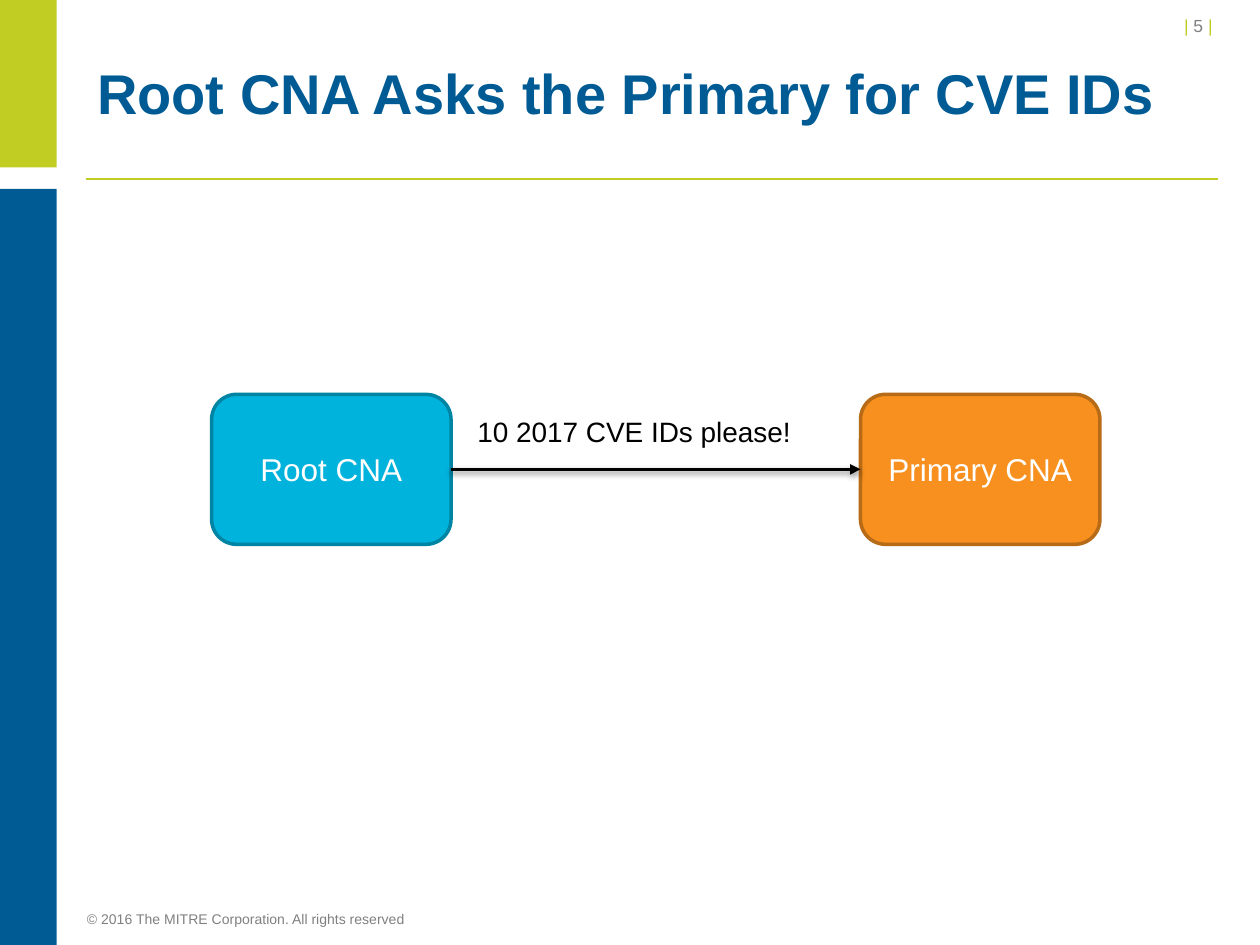
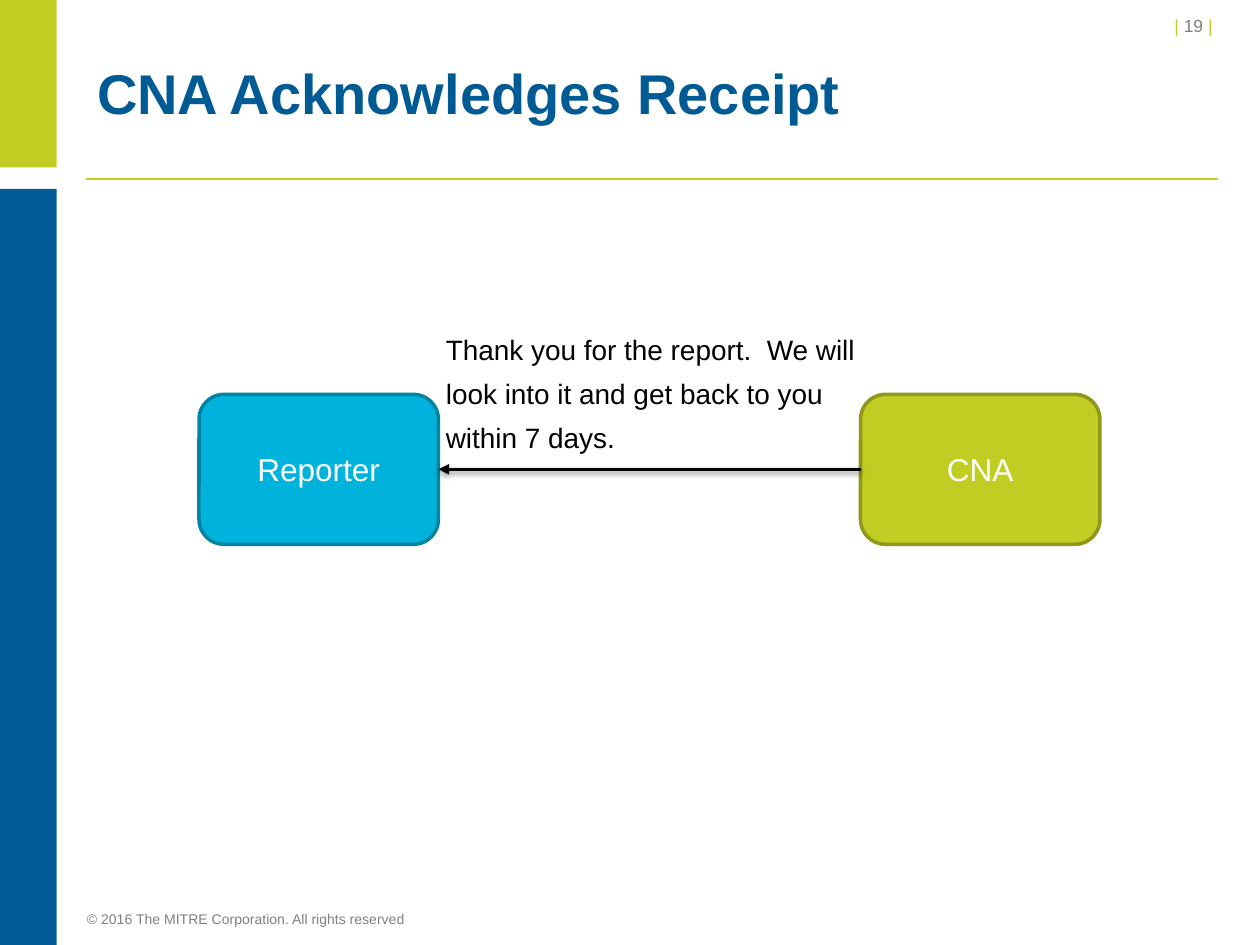
from pptx import Presentation
from pptx.dml.color import RGBColor
from pptx.enum.shapes import MSO_CONNECTOR as Connector, MSO_SHAPE as Shape
from pptx.enum.text import MSO_ANCHOR as Anchor, MSO_AUTO_SIZE as AutoSize, PP_ALIGN as Align
from pptx.oxml import parse_xml
from pptx.oxml.ns import nsdecls
from pptx.util import Inches, Pt

LIME = RGBColor(0xC1, 0xCD, 0x23)
DARK_LIME = RGBColor(0x8F, 0x98, 0x1A)
NAVY = RGBColor(0x00, 0x5B, 0x94)
CYAN = RGBColor(0x00, 0xB3, 0xDC)
DARK_CYAN = RGBColor(0x00, 0x84, 0xA3)
ORANGE = RGBColor(0xF7, 0x90, 0x1E)
DARK_ORANGE = RGBColor(0xB7, 0x6B, 0x16)
GRAY = RGBColor(0x80, 0x80, 0x80)
BLACK = RGBColor(0x00, 0x00, 0x00)
WHITE = RGBColor(0xFF, 0xFF, 0xFF)

TITLE_ONLY = 5
LEFT_SITE, RIGHT_SITE = 1, 3
BOX_TOP, BOX_WIDTH, BOX_HEIGHT = 3.13, 1.9, 1.19
RIGHT_BOX_LEFT = 6.83
COPYRIGHT = "© 2016 The MITRE Corporation. All rights reserved"

FONTS = {
    "title": {"name": "Arial", "size": Pt(32), "bold": True},
    "box": {"name": "Arial", "size": Pt(18)},
    "label": {"name": "Arial", "size": Pt(16)},
    "number": {"name": "Arial", "size": Pt(10)},
    "footer": {"name": "Arial", "size": Pt(8)},
}
PARAGRAPHS = {
    "title": {"alignment": Align.LEFT, "line_spacing": Pt(32)},
    "box": {"alignment": Align.CENTER},
    "label": {"space_after": Pt(6)},
    "number": {"alignment": Align.RIGHT, "space_after": Pt(6)},
    "footer": {},
}
NO_MARGINS = dict.fromkeys(
    ("margin_left", "margin_top", "margin_right", "margin_bottom"), 0)
ARROWHEAD = f'<a:tailEnd {nsdecls("a")} type="triangle"/>'
NO_EFFECTS = f'<a:effectLst {nsdecls("a")}/>'
SOFT_SHADOW = f"""<a:effectLst {nsdecls("a")}>
  <a:outerShdw blurRad="40000" dist="20000" dir="5400000" rotWithShape="0">
    <a:srgbClr val="000000"><a:alpha val="38000"/></a:srgbClr>
  </a:outerShdw>
</a:effectLst>"""


def apply_format(target, values):
    for name, value in values.items():
        setattr(target, name, value)


class Deck:
    def __init__(self):
        self.presentation = Presentation()
        self.presentation.slide_width = Inches(10)
        self.presentation.slide_height = Inches(7.5)
        self.slide = None

    def start_slide(self, title, number):
        layout = self.presentation.slide_layouts[TITLE_ONLY]
        self.slide = self.presentation.slides.add_slide(layout)
        self.rule(0.68, 9.67, 1.42)
        self.band(0, 1.33, LIME)
        self.band(1.5, 6, NAVY)
        self.text((8.01, 0.07, 1.75, 0.27), "number",
                  [[("| ", LIME), (f"{number} ", GRAY), ("| ", LIME)]])
        self.text((0.69, 7.23, 5, 0.13), "footer", [[(COPYRIGHT, GRAY)]], NO_MARGINS)
        self.title(title)

    def fill_text(self, frame, style, lines):
        for index, runs in enumerate(lines):
            paragraph = frame.add_paragraph() if index else frame.paragraphs[0]
            apply_format(paragraph, PARAGRAPHS[style])
            for content, color in runs:
                run = paragraph.add_run()
                run.text = content
                apply_format(run.font, FONTS[style])
                run.font.color.rgb = color

    def title(self, content):
        shape = self.slide.shapes.title
        apply_format(shape, {"left": Inches(0.67), "top": Inches(0.3),
                             "width": Inches(9), "height": Inches(0.95)})
        apply_format(shape.text_frame, {"auto_size": AutoSize.NONE,
                                        "vertical_anchor": Anchor.MIDDLE})
        self.fill_text(shape.text_frame, "title", [[(content, NAVY)]])

    def text(self, bounds, style, lines, frame_format=None):
        shape = self.slide.shapes.add_textbox(*map(Inches, bounds))
        frame_values = {"word_wrap": True, "auto_size": AutoSize.SHAPE_TO_FIT_TEXT}
        apply_format(shape.text_frame, frame_values | (frame_format or {}))
        self.fill_text(shape.text_frame, style, lines)

    def label(self, bounds, *lines):
        self.text(bounds, "label", [[(line, BLACK)] for line in lines],
                  {"word_wrap": False})

    def filled(self, kind, bounds, fill):
        shape = self.slide.shapes.add_shape(kind, *map(Inches, bounds))
        shape.shadow.inherit = False
        shape.fill.solid()
        shape.fill.fore_color.rgb = fill
        return shape

    def band(self, top, height, color):
        self.filled(Shape.RECTANGLE, (0, top, 0.45, height), color).line.fill.background()

    def box(self, left, content, fill, outline):
        bounds = (left, BOX_TOP, BOX_WIDTH, BOX_HEIGHT)
        shape = self.filled(Shape.ROUNDED_RECTANGLE, bounds, fill)
        shape.line.color.rgb = outline
        shape.line.width = Pt(2)
        shape.text_frame.vertical_anchor = Anchor.MIDDLE
        self.fill_text(shape.text_frame, "box", [[(content, WHITE)]])
        return shape

    def connector(self, ends, color, width, effects):
        connector = self.slide.shapes.add_connector(
            Connector.STRAIGHT, *map(Inches, ends))
        connector.line.color.rgb = color
        connector.line.width = Pt(width)
        connector._element.spPr.append(parse_xml(effects))
        return connector

    def rule(self, left, right, top):
        self.connector((left, top, right, top), LIME, 1, NO_EFFECTS)

    def arrow(self, source, source_site, target, target_site):
        connector = self.connector((0, 0, 0, 0), BLACK, 2, SOFT_SHADOW)
        connector.begin_connect(source, source_site)
        connector.end_connect(target, target_site)
        connector.line._get_or_add_ln().append(parse_xml(ARROWHEAD))


def build_request(deck):
    deck.start_slide("Root CNA Asks the Primary for CVE IDs", 5)
    primary = deck.box(RIGHT_BOX_LEFT, "Primary CNA", ORANGE, DARK_ORANGE)
    root = deck.box(1.68, "Root CNA", CYAN, DARK_CYAN)
    deck.arrow(root, RIGHT_SITE, primary, LEFT_SITE)
    deck.label((3.69, 3.24, 2.72, 0.37), "10 2017 CVE IDs please!")


def build_receipt(deck):
    deck.start_slide("CNA Acknowledges Receipt", 19)
    cna = deck.box(RIGHT_BOX_LEFT, "CNA", LIME, DARK_LIME)
    reporter = deck.box(1.58, "Reporter", CYAN, DARK_CYAN)
    deck.label((3.44, 2.59, 3.49, 1.08),
               "Thank you for the report.  We will",
               "look into it and get back to you",
               "within 7 days.")
    deck.arrow(cna, LEFT_SITE, reporter, RIGHT_SITE)


def main():
    deck = Deck()
    build_request(deck)
    build_receipt(deck)
    deck.presentation.save("out.pptx")


if __name__ == "__main__":
    main()
